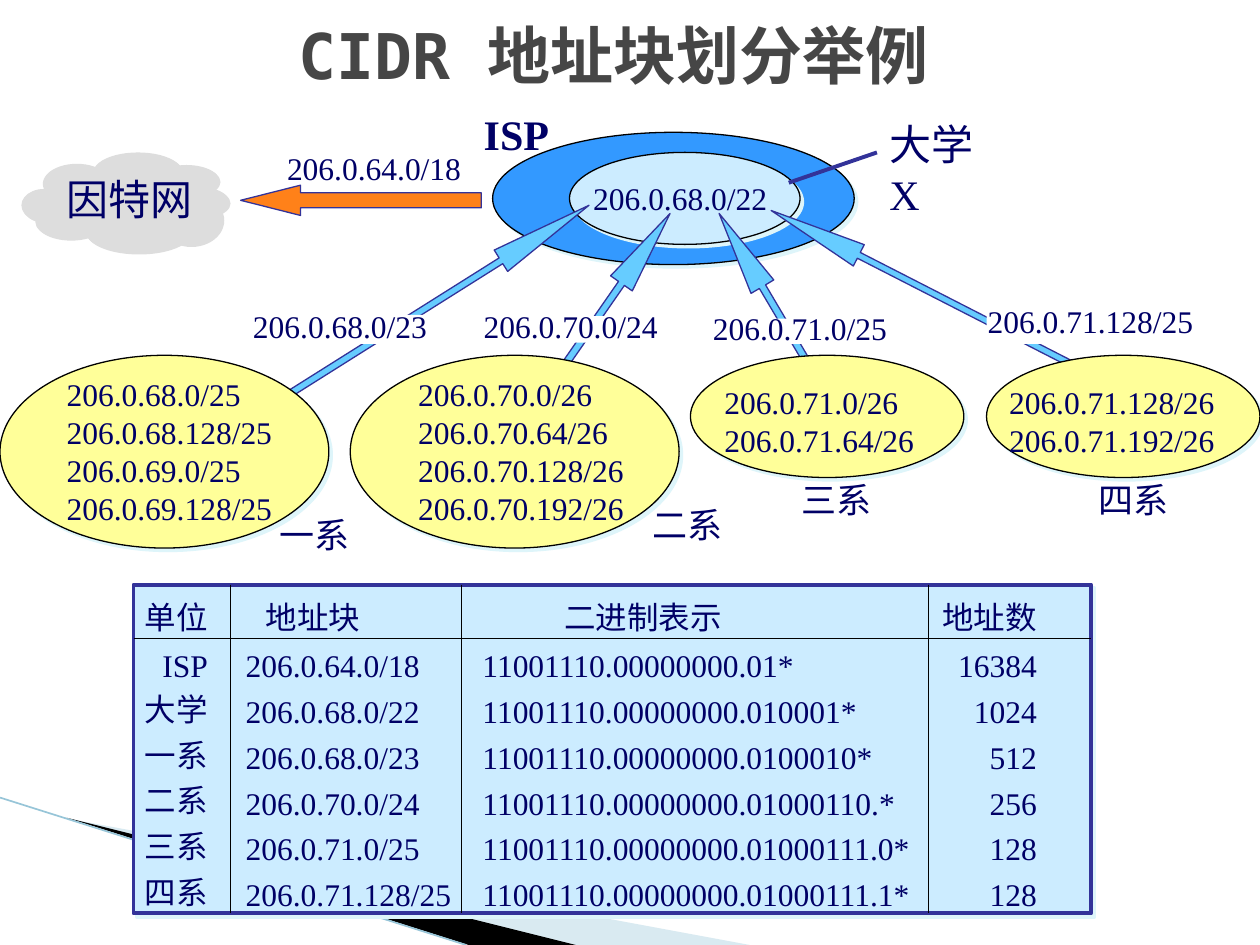
from lxml import etree
from pptx import Presentation
from pptx.dml.color import RGBColor
from pptx.enum import shapes, text
from pptx.oxml import parse_xml
from pptx.oxml.ns import nsdecls, qn
from pptx.util import Inches, Pt

SHAPE, ALIGN, ANCHOR = shapes.MSO_SHAPE, text.PP_ALIGN, text.MSO_ANCHOR
SERIF, MONO = "Times New Roman", "DejaVu Sans Mono"
NAVY, BLUE, PALE, YELLOW, GREY = "000066", "333399", "CCECFF", "FFFF99", "DDDDDD"

# Content: departments, as (addresses, ellipse, text left and top)
DEPARTMENTS = [
    (["206.0.68.0/25", "206.0.68.128/25", "206.0.69.0/25", "206.0.69.128/25"],
     (0, 2.82, 2.61, 1.53), (0.43, 2.93)),
    (["206.0.70.0/26", "206.0.70.64/26", "206.0.70.128/26", "206.0.70.192/26"],
     (2.78, 2.82, 2.61, 1.53), (3.22, 2.93)),
    (["206.0.71.0/26", "206.0.71.64/26"], (5.48, 2.82, 2.17, 0.97), (5.65, 2.99)),
    (["206.0.71.128/26", "206.0.71.192/26"], (7.83, 2.82, 2.17, 0.97), (7.91, 2.99)),
]
DEPARTMENT_NAMES = [("一系", 2.12, 4.03), ("二系", 5.08, 3.95),
                    ("三系", 6.26, 3.75), ("四系", 8.62, 3.75)]
# Arrows to the university: frame, rotation, head proportion
UPLINKS = [
    ((1.97, 2.31, 2.93, 0.2), 147.8, 4.13),
    ((3.48, 2.55, 2.34, 0.21), 124.8, 3.22),
    ((5.13, 2.6, 2.35, 0.21), 59.4, 3.22),
    ((5.97, 2.2, 2.74, 0.19), 27.1, 4.11),
]
# Arrow labels: text, left, top, width, white backing
UPLINK_LABELS = [
    ("206.0.68.0/23", 1.91, 2.39, 1.6, (2, 2.5, 1.47, 0.23)),
    ("206.0.70.0/24", 3.74, 2.39, 1.6, (3.83, 2.51, 1.48, 0.21)),
    ("206.0.71.0/25", 5.56, 2.4, 1.6, (5.65, 2.53, 1.47, 0.2)),
    ("206.0.71.128/25", 7.74, 2.35, 1.85, (7.83, 2.5, 1.73, 0.23)),
]
CLOUD = [
    (0.75, 1.22, 0.71, 0.32), (0.35, 1.31, 0.54, 0.32), (0.18, 1.51, 0.36, 0.26),
    (0.29, 1.63, 0.55, 0.28), (0.69, 1.68, 0.83, 0.34), (1.23, 1.32, 0.52, 0.25),
    (1.31, 1.49, 0.52, 0.25), (1.26, 1.54, 0.52, 0.42), (0.48, 1.42, 1.07, 0.42),
]
ROWS = [
    ("单位", "地址块", "二进制表示", "地址数"),
    ("ISP", "206.0.64.0/18", "11001110.00000000.01*", "16384"),
    ("大学", "206.0.68.0/22", "11001110.00000000.010001*", "1024"),
    ("一系", "206.0.68.0/23", "11001110.00000000.0100010*", "512"),
    ("二系", "206.0.70.0/24", "11001110.00000000.01000110.*", "256"),
    ("三系", "206.0.71.0/25", "11001110.00000000.01000111.0*", "128"),
    ("四系", "206.0.71.128/25", "11001110.00000000.01000111.1*", "128"),
]
# Table columns: width, alignment, margin in the body, margin in the header
COLUMNS = [
    (0.77, ALIGN.RIGHT, 0.18, 0.18), (1.83, ALIGN.LEFT, 0.12, 0.28),
    (3.71, ALIGN.LEFT, 0.17, 0.82), (1.29, ALIGN.RIGHT, 0.43, 0.43),
]
TABLE_FRAME = (1.06, 4.64, 7.6, 2.61)
HEADER_HEIGHT = 0.43


def colour(value):
    return RGBColor.from_string(value)


def style_text(frame, size, name=SERIF, tint=NAVY, bold=False):
    for para in frame.paragraphs:
        for span in para.runs:
            span.font.size, span.font.name, span.font.bold = Pt(size), name, bold
            span.font.color.rgb = colour(tint)


def paint(shape, fill, line=None, weight=0.75, shadow=False):
    shape.fill.solid()
    shape.fill.fore_color.rgb = colour(fill)
    if line:
        shape.line.color.rgb, shape.line.width = colour(line), Pt(weight)
    else:
        shape.line.fill.background()
    shape.shadow.inherit = False
    if shadow:
        shape._element.spPr.find(qn("a:effectLst")).append(parse_xml(
            f'<a:outerShdw {nsdecls("a")} dist="35560" dir="2700000" algn="ctr" '
            'rotWithShape="0"><a:srgbClr val="DEF5FA"/></a:outerShdw>'))


def add_shape(parent, kind, frame, *look, **options):
    shape = parent.add_shape(kind, *map(Inches, frame))
    paint(shape, *look, **options)
    return shape


def add_label(page, words, left, top, width, height, size=18, bold=False, wrap=False):
    box = page.shapes.add_textbox(*map(Inches, (left, top, width, height)))
    box.text_frame.word_wrap = wrap
    box.text_frame.text = words
    style_text(box.text_frame, size, bold=bold)


def add_line(page, start, end, tint, weight):
    line = page.shapes.add_connector(shapes.MSO_CONNECTOR.STRAIGHT, *map(Inches, start + end))
    line.line.color.rgb, line.line.width = colour(tint), Pt(weight)
    etree.SubElement(line._element.spPr, qn("a:effectLst"))


def add_outline(page, points, fill):
    builder = page.shapes.build_freeform(*map(Inches, points[0]), scale=1.0)
    builder.add_line_segments([tuple(map(Inches, p)) for p in points[1:]], close=True)
    shape = builder.convert_to_shape()
    paint(shape, fill)
    return shape


def set_borders(cell, black_sides):
    props = cell._tc.get_or_add_tcPr()
    for index, side in enumerate(("lnL", "lnR", "lnT", "lnB")):
        ink = ('<a:solidFill><a:srgbClr val="000000"/></a:solidFill>'
               if side in black_sides else "<a:noFill/>")
        props.insert(index, parse_xml(f'<a:{side} {nsdecls("a")} w="9525">{ink}</a:{side}>'))


def add_address_table(page):
    table = page.shapes.add_table(len(ROWS), len(COLUMNS), *map(Inches, TABLE_FRAME)).table
    table.first_row = table.horz_banding = False
    body_height = (TABLE_FRAME[3] - HEADER_HEIGHT) / (len(ROWS) - 1)
    for column, (width, *_) in zip(table.columns, COLUMNS):
        column.width = Inches(width)
    for r, values in enumerate(ROWS):
        table.rows[r].height = Inches(body_height if r else HEADER_HEIGHT)
        for c, value in enumerate(values):
            _, align, body_margin, header_margin = COLUMNS[c]
            margin = Inches(body_margin if r else header_margin)
            cell = table.cell(r, c)
            cell.text = value
            cell.vertical_anchor = ANCHOR.BOTTOM
            cell.margin_top = cell.margin_bottom = 0
            cell.margin_left = margin if align == ALIGN.LEFT else 0
            cell.margin_right = margin if align == ALIGN.RIGHT else 0
            cell.text_frame.paragraphs[0].alignment = align
            style_text(cell.text_frame, 18)
            cell.fill.background()
            black = {"lnL"} if c else set()
            if c < len(COLUMNS) - 1:
                black.add("lnR")
            if r < 2:
                black.add("lnT" if r else "lnB")
            set_borders(cell, black)


def main():
    deck = Presentation()
    deck.slide_width, deck.slide_height = Inches(10), Inches(7.5)
    page = deck.slides.add_slide(deck.slide_layouts[5])

    # Corner decoration
    band = add_outline(page, [(0.55, 6.5), (5.95, 7.5), (4.56, 7.5)], "A0CBDC")
    tint = band._element.spPr.find(qn("a:solidFill"))[0]
    etree.SubElement(tint, qn("a:alpha")).set("val", "40000")
    add_outline(page, [(0.53, 6.49), (4.57, 7.5), (3.72, 7.5)], "000000")
    add_line(page, (0, 6.33), (3.7, 7.5), "97C5D8", 0.95)

    # Title
    title = page.shapes.title
    title.left, title.top, title.width, title.height = map(Inches, (0.61, 0.05, 8.52, 0.76))
    title.text_frame.text = "CIDR 地址块划分举例"
    title.text_frame.vertical_anchor = ANCHOR.MIDDLE
    title.text_frame.paragraphs[0].alignment = ALIGN.CENTER
    style_text(title.text_frame, 36, MONO, "464646", True)

    # Internet cloud
    cloud = page.shapes.add_group_shape()
    for shift in (0, 0.01):
        for left, top, width, height in CLOUD:
            add_shape(cloud.shapes, SHAPE.OVAL, (left - shift, top - shift, width, height), GREY)
    add_label(page, "因特网", 0.43, 1.33, 1.2, 0.5, 24)

    # Provider and university
    for frame, fill in (((3.91, 1.05, 2.87, 1.05), "3399FF"), ((4.52, 1.21, 1.83, 0.73), PALE)):
        add_shape(page.shapes, SHAPE.OVAL, frame, fill, "000000", shadow=True)
    add_label(page, "206.0.68.0/22", 4.61, 1.37, 1.6, 0.4)
    add_label(page, "206.0.64.0/18", 2.18, 1.13, 1.6, 0.4)
    arrow = add_shape(page.shapes, SHAPE.LEFT_ARROW, (1.91, 1.47, 1.91, 0.24), "FF8119", BLUE)
    arrow.adjustments[0], arrow.adjustments[1] = 0.5, 1.98
    add_label(page, "ISP", 3.74, 0.81, 0.72, 0.5, 24, bold=True)
    add_label(page, "大学 X", 6.96, 0.89, 1.1, 0.9, 24, wrap=True)
    add_line(page, (6.26, 1.45), (6.96, 1.21), BLUE, 2.25)

    # Departments and their arrows
    for frame, turn, head in UPLINKS:
        arrow = add_shape(page.shapes, SHAPE.LEFT_ARROW, frame, "66CCFF", BLUE)
        arrow.rotation = turn
        arrow.adjustments[0], arrow.adjustments[1] = 0.27, head
    for addresses, frame, (left, top) in DEPARTMENTS:
        add_shape(page.shapes, SHAPE.OVAL, frame, YELLOW, "000000", shadow=True)
        add_label(page, "\n".join(addresses), left, top, 1.85, 0.1 + 0.3 * len(addresses))
    for name, left, top in DEPARTMENT_NAMES:
        add_label(page, name, left, top, 0.76, 0.43, 20)
    for words, left, top, width, backing in UPLINK_LABELS:
        add_shape(page.shapes, SHAPE.RECTANGLE, backing, "FFFFFF")
        add_label(page, words, left, top, width, 0.4)

    # Address table on its framed panel
    add_shape(page.shapes, SHAPE.RECTANGLE, TABLE_FRAME, PALE, BLUE, 2.25, shadow=True)
    add_address_table(page)

    deck.save("out.pptx")


if __name__ == "__main__":
    main()
